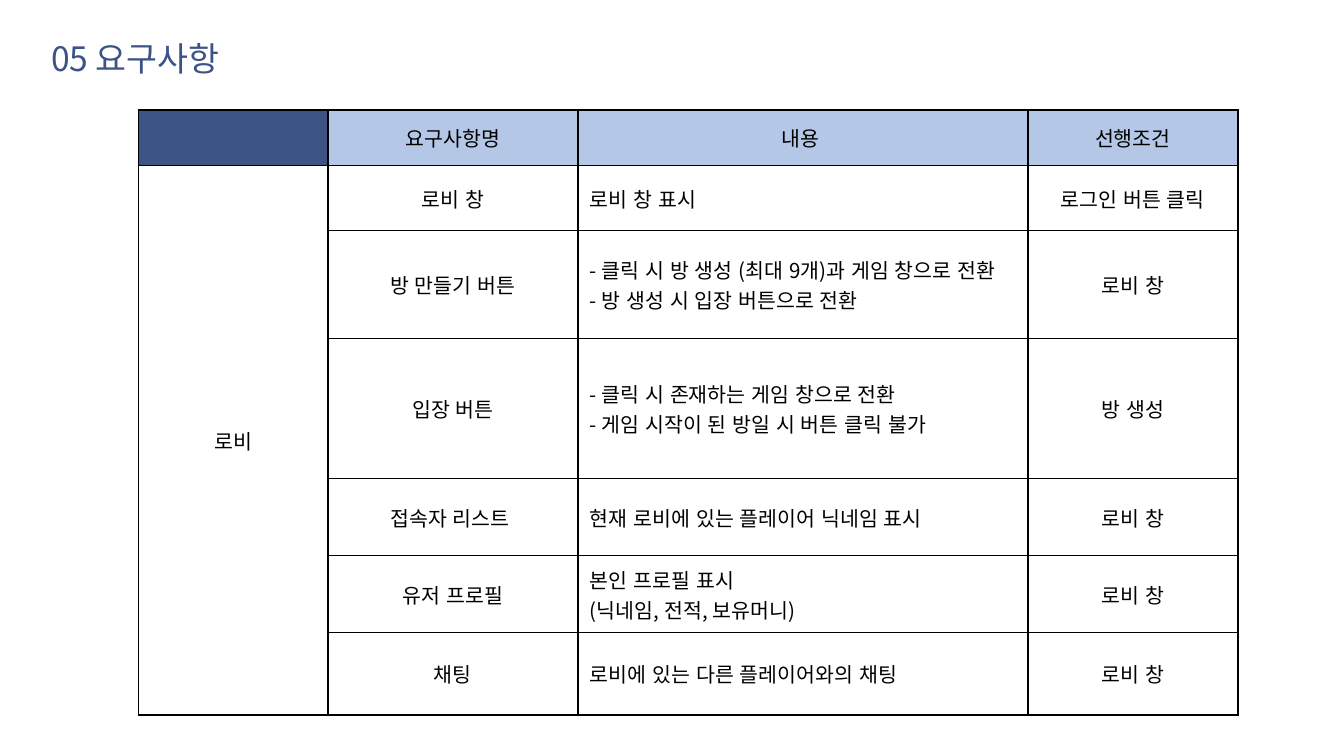
"""Build the lobby requirements slide with its heading and table."""
from lxml import etree
from pptx import Presentation
from pptx.dml.color import RGBColor
from pptx.enum.lang import MSO_LANGUAGE_ID
from pptx.enum.text import MSO_ANCHOR, PP_ALIGN
from pptx.oxml.ns import qn
from pptx.util import Inches, Pt

CENTER, LEFT = PP_ALIGN.CENTER, PP_ALIGN.LEFT
MIDDLE = MSO_ANCHOR.MIDDLE
KOREAN = MSO_LANGUAGE_ID.KOREAN
FONT = "Noto Sans CJK KR"
NAVY, SKY, BLACK = "3B5385", "B4C7E7", "000000"
BORDERS = ("a:lnL", "a:lnR", "a:lnT", "a:lnB")

TABLE_HEIGHT = 4.5
COLUMNS = [1.41, 1.86, 3.35, 1.56]
ROWS = [0.41, 0.48, 0.8, 1.04, 0.57, 0.57, 0.61]
REQUIREMENTS = [
    ("", "요구사항명", "내용 ", "선행조건"),
    ("로비", "로비 창", "로비 창 표시", "로그인 버튼 클릭"),
    ("", "방 만들기 버튼",
     "- 클릭 시 방 생성 (최대 9개)과 게임 창으로 전환\n- 방 생성 시 입장 버튼으로 전환", "로비 창"),
    ("", "입장 버튼",
     "- 클릭 시 존재하는 게임 창으로 전환\n- 게임 시작이 된 방일 시 버튼 클릭 불가", "방 생성"),
    ("", "접속자 리스트 ", "현재 로비에 있는 플레이어 닉네임 표시", "로비 창"),
    ("", "유저 프로필", "본인 프로필 표시\n(닉네임, 전적, 보유머니)", "로비 창"),
    ("", "채팅", "로비에 있는 다른 플레이어와의 채팅", "로비 창"),
]


def rgb(value):
    return RGBColor.from_string(value)


def write(frame, text, size, color, align):
    frame.text = text
    for paragraph in frame.paragraphs:
        paragraph.alignment = align
        for run in paragraph.runs:
            run.font.size = Pt(size)
            run.font.color.rgb = rgb(color)
            run.font.name = FONT
            run.font.language_id = KOREAN
            etree.SubElement(run.font._element, qn("a:ea"), typeface=FONT)


deck = Presentation()
deck.slide_width = Inches(10)
deck.slide_height = deck.slide_width * 9 // 16
slide = deck.slides.add_slide(deck.slide_layouts[6])

table = slide.shapes.add_table(
    len(ROWS), len(COLUMNS), Inches(1.03), Inches(0.82),
    Inches(sum(COLUMNS)), Inches(TABLE_HEIGHT)).table
table.first_row = table.horz_banding = False
for column, width in zip(table.columns, COLUMNS):
    column.width = Inches(width)
for row, height in zip(table.rows, ROWS):
    row.height = Inches(height * TABLE_HEIGHT / sum(ROWS))

for r, requirement in enumerate(REQUIREMENTS):
    for c, text in enumerate(requirement):
        cell = table.cell(r, c)
        cell.vertical_anchor = MIDDLE
        cell.margin_left = cell.margin_right = Inches(0.09)
        cell.margin_top = cell.margin_bottom = Inches(0.05)
        if r == 0:
            cell.fill.solid()
            cell.fill.fore_color.rgb = rgb(SKY if c else NAVY)
        else:
            cell.fill.background()
        write(cell.text_frame, text, 11, BLACK, LEFT if r and c == 2 else CENTER)
        properties = cell._tc.get_or_add_tcPr()
        for position, side in enumerate(BORDERS):
            border = etree.Element(qn(side), w=str(Pt(1)))
            paint = etree.SubElement(border, qn("a:solidFill"))
            etree.SubElement(paint, qn("a:srgbClr"), val=BLACK)
            properties.insert(position, border)

lobby = table.cell(1, 0)
lobby.merge(table.cell(len(ROWS) - 1, 0))
lobby.margin_left = lobby.margin_right = Inches(0.13)
lobby.margin_top = lobby.margin_bottom = Inches(0.06)

heading = slide.shapes.add_textbox(
    Inches(0.31), Inches(0.24), Inches(2.34), Inches(0.38)).text_frame
heading.word_wrap = True
heading.margin_left = heading.margin_right = Inches(0.07)
heading.margin_top = heading.margin_bottom = Inches(0.04)
write(heading, "05 요구사항", 18, NAVY, LEFT)

deck.save("out.pptx")
